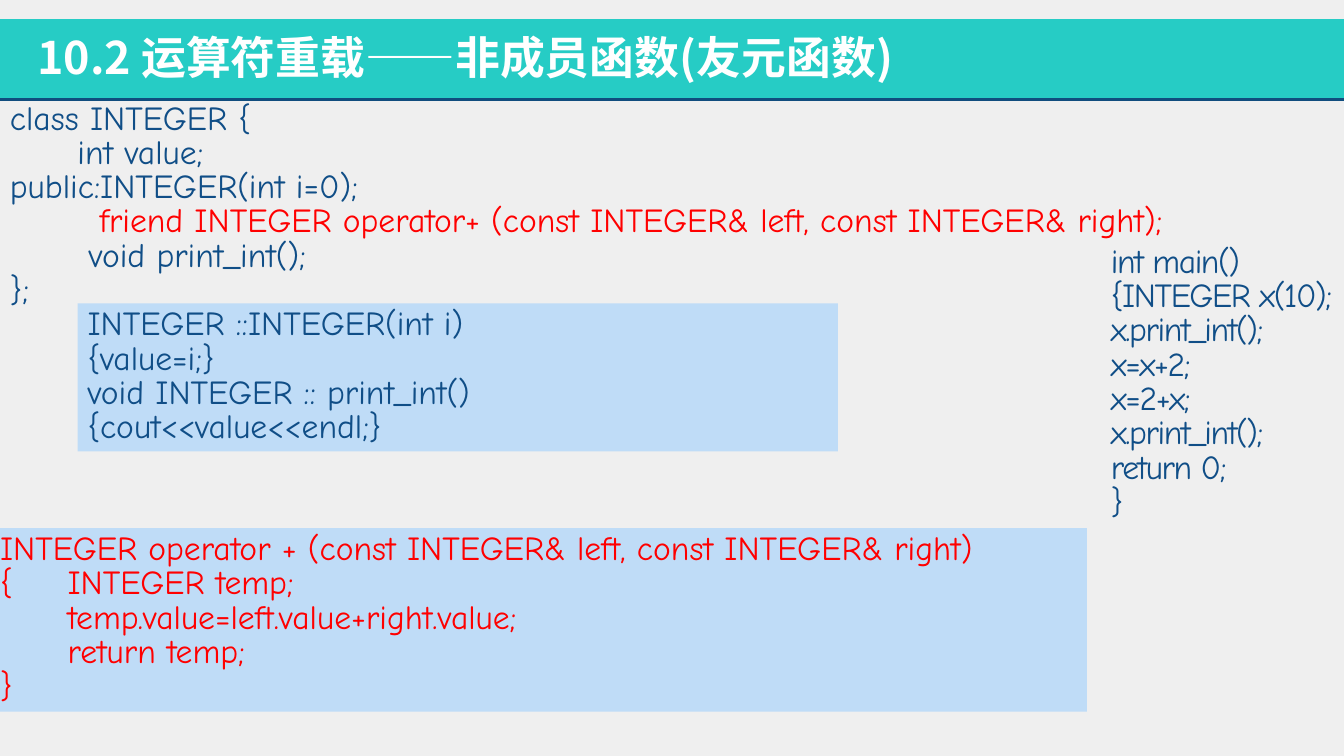
"""Build a slide on operator overloading with a non-member friend function."""
from dataclasses import dataclass

from lxml import etree
from pptx import Presentation
from pptx.dml.color import RGBColor
from pptx.enum.shapes import MSO_CONNECTOR, MSO_SHAPE
from pptx.enum.text import MSO_ANCHOR, MSO_AUTO_SIZE, PP_ALIGN
from pptx.oxml.ns import qn
from pptx.util import Inches, Pt

RECT = MSO_SHAPE.RECTANGLE
STRAIGHT = MSO_CONNECTOR.STRAIGHT
TOP = MSO_ANCHOR.TOP
GROW = MSO_AUTO_SIZE.SHAPE_TO_FIT_TEXT
LEFT = PP_ALIGN.LEFT

WIDTH, HEIGHT = 13.33, 7.5
TAB = 0.67
PAPER, TEAL, PALE = "EFEFEF", "26CCC5", "BFDCF7"
RULE, NAVY, RED, WHITE = "104D7E", "104E87", "FF0000", "FFFFFF"
CODE_FONT = {"name": "Comic Neue", "size": Pt(24)}
TITLE_FONT = {"name": "Noto Sans CJK JP", "size": Pt(32), "bold": True}


@dataclass
class Block:
    """A text block; lines holding the accent text are shown in red."""
    at: tuple[float, float, float, float]
    text: str
    color: str = NAVY
    fill: str | None = None
    inset: float = 0.1
    tracking: int = 0
    accent: str | None = None
    title: bool = False


BLOCKS = [
    Block((0.27, 0.25, 10.81, 0.64), "10.2 运算符重载——非成员函数(友元函数)",
          color=WHITE, title=True),
    Block((0, 0.97, 12.96, 2.16), """class INTEGER {
\tint value;
public:INTEGER(int i=0);
        friend INTEGER operator+ (const INTEGER& left, const INTEGER& right);
\t void print_int();
};""", accent="friend"),
    Block((0.77, 3.01, 7.54, 1.47), """INTEGER ::INTEGER(int i)
{value=i;}
void INTEGER :: print_int()
{cout<<value<<endl;}""", fill=PALE),
    Block((0, 5.24, 10.78, 1.82),
          """INTEGER operator + (const INTEGER& left, const INTEGER& right)
{\tINTEGER temp;
\ttemp.value=left.value+right.value;
\treturn temp;
}""", color=RED, fill=PALE, inset=0),
    Block((10.92, 2.39, 2.81, 2.85), """int main()
{INTEGER x(10);
x.print_int();
x=x+2;
x=2+x;
x.print_int();
return 0;
}""", tracking=-100),
]


def rgb(color: str) -> RGBColor:
    """Turn a hex string into a colour."""
    return RGBColor.from_string(color)


def set_all(target, values: dict) -> None:
    """Set each named attribute of the target."""
    for name, value in values.items():
        setattr(target, name, value)


def add_rect(s, at: tuple[float, float, float, float], fill: str):
    """Add a plain filled rectangle."""
    sp = s.shapes.add_shape(RECT, *map(Inches, at))
    sp.shadow.inherit = False
    sp.fill.solid()
    sp.fill.fore_color.rgb = rgb(fill)
    sp.line.fill.background()
    return sp


def add_rule(s, y: float) -> None:
    """Add the full-width line under the title band."""
    line = s.shapes.add_connector(
        STRAIGHT, 0, Inches(y), Inches(WIDTH), Inches(y))
    line.line.color.rgb = rgb(RULE)
    line.line.width = Pt(2)
    etree.SubElement(line._element.spPr, qn("a:effectLst"))


def add_line(p, text: str, block: Block) -> None:
    """Fill one paragraph with a line of the block."""
    p.alignment = LEFT
    if not block.title:
        p.line_spacing = 0.85
    if "\t" in text:
        tabs = etree.SubElement(p._p.get_or_add_pPr(), qn("a:tabLst"))
        etree.SubElement(tabs, qn("a:tab"), pos=str(Inches(TAB)), algn="l")
    r = p.add_run()
    r.text = text
    set_all(r.font, TITLE_FONT if block.title else CODE_FONT)
    accented = block.accent and block.accent in text
    r.font.color.rgb = rgb(RED if accented else block.color)
    rPr = r._r.get_or_add_rPr()
    if block.title:
        etree.SubElement(rPr, qn("a:ea"), typeface=TITLE_FONT["name"])
    if block.tracking:
        rPr.set("spc", str(block.tracking))


def add_block(s, block: Block) -> None:
    """Add a text block, with a filled rectangle where it has a fill."""
    if block.fill:
        sp = add_rect(s, block.at, block.fill)
    else:
        sp = s.shapes.add_textbox(*map(Inches, block.at))
    tf = sp.text_frame
    set_all(tf, {"word_wrap": True, "auto_size": GROW, "vertical_anchor": TOP,
                 "margin_left": Inches(block.inset),
                 "margin_right": Inches(block.inset)})
    for i, text in enumerate(block.text.split("\n")):
        add_line(tf.add_paragraph() if i else tf.paragraphs[0], text, block)


def main() -> None:
    """Draw the slide and save it."""
    prs = Presentation()
    set_all(prs, {"slide_width": Inches(WIDTH), "slide_height": Inches(HEIGHT)})
    s = prs.slides.add_slide(prs.slide_layouts[6])
    s.background.fill.solid()
    s.background.fill.fore_color.rgb = rgb(PAPER)
    add_rect(s, (0, 0.19, WIDTH, 0.8), TEAL)
    add_rule(s, 0.99)
    for block in BLOCKS:
        add_block(s, block)
    prs.save("out.pptx")


if __name__ == "__main__":
    main()
